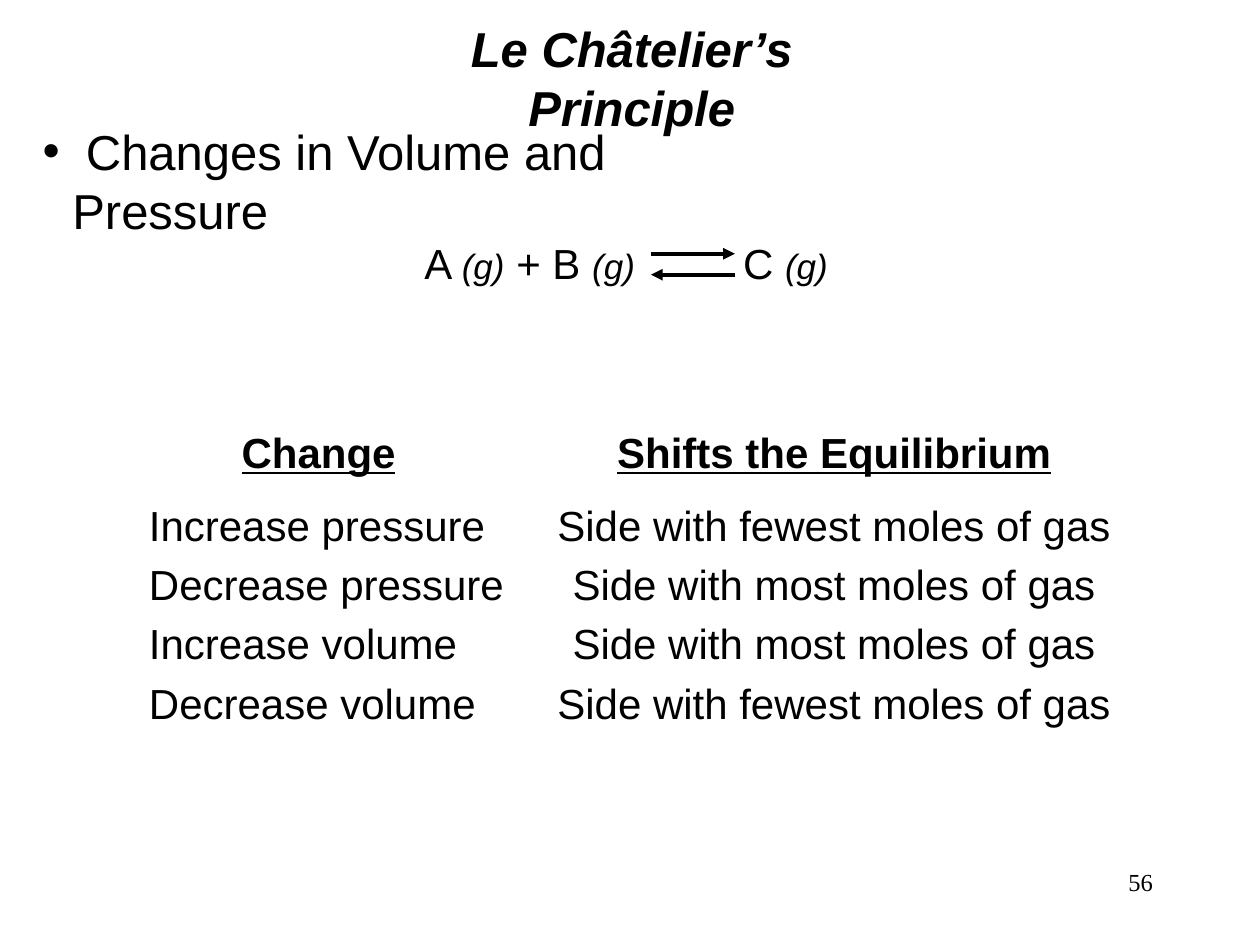
import pptx
import pptx.util
import pptx.dml.color
import pptx.enum.text
import pptx.enum.shapes
import pptx.oxml.ns
import lxml.etree

Pt = pptx.util.Pt
Align = pptx.enum.text.PP_ALIGN
COLORS = {"ink": "000000"}

# Content
TITLE = "Le Châtelier’s Principle"
TOPIC = " Changes in Volume and Pressure"
GAS = ("(g)", 20, True)
FORMULA = [("A ", 24, False), GAS, (" + B ", 24, False), GAS,
           ("\tC ", 24, False), GAS]
HEADS = [("Change", 102), ("Shifts the Equilibrium", 262)]
FEW = ("Side with fewest moles of gas", 330)
MOST = ("Side with most moles of gas", 313)
ROWS = [
    (("Increase pressure", 213), FEW),
    (("Decrease pressure", 217), MOST),
    (("Increase volume", 190), MOST),
    (("Decrease volume", 201), FEW),
]
NUMBER = "56"

# Layout
LEFT, MID = 78, (182, 476.6)
HEAD_TOP, ROW_TOP, STEP = 240, 282, 33.8

deck = pptx.Presentation()
deck.slide_width, deck.slide_height = Pt(720), Pt(540)
slide = deck.slides.add_slide(deck.slide_layouts[5])


def ink():
    return pptx.dml.color.RGBColor.from_string(COLORS["ink"])


def add(node, tag, **attrs):
    part = lxml.etree.SubElement(node, pptx.oxml.ns.qn(tag))
    for key, value in attrs.items():
        part.set(key, str(value))
    return part


def write(text, left, top, width, height=36, shape=None, size=24, font="Arial",
          bold=False, italic=False, under=False, align=Align.LEFT,
          wrap=False, bullet=None, tab=None):
    """Put a string, or a list of (text, size, italic) runs, in a box."""
    if shape is None:
        shape = slide.shapes.add_textbox(0, 0, 0, 0)
    shape.left, shape.top = Pt(left), Pt(top)
    shape.width, shape.height = Pt(width), Pt(height)
    frame = shape.text_frame
    frame.word_wrap = wrap
    frame.auto_size = pptx.enum.text.MSO_AUTO_SIZE.NONE
    frame.vertical_anchor = pptx.enum.text.MSO_ANCHOR.TOP
    para = frame.paragraphs[0]
    para.alignment = align
    props = para._p.get_or_add_pPr()
    if bullet:
        props.set("marL", str(Pt(bullet)))
        props.set("indent", str(-Pt(bullet)))
        add(props, "a:buFont", typeface="Arial")
        add(props, "a:buChar", char="•")
    if tab:
        add(add(props, "a:tabLst"), "a:tab", pos=Pt(tab), algn="l")
    runs = [(text, size, italic)] if isinstance(text, str) else text
    for words, points, slant in runs:
        run = para.add_run()
        run.text = words
        run.font.name, run.font.size = font, Pt(points)
        run.font.bold, run.font.italic = bold, slant
        run.font.underline = under
        run.font.color.rgb = ink()


def arrow(start, end, level):
    line = slide.shapes.add_connector(
        pptx.enum.shapes.MSO_CONNECTOR.STRAIGHT,
        Pt(start), Pt(level), Pt(end), Pt(level))
    line.line.width = Pt(2.25)
    line.line.color.rgb = ink()
    props = line._element.spPr
    add(props.find(pptx.oxml.ns.qn("a:ln")), "a:tailEnd", type="triangle")
    add(props, "a:effectLst")


# Title, topic and slide number
write(TITLE, 211, 7.2, 300, 41, shape=slide.shapes.title, size=28, bold=True,
      italic=True, align=Align.CENTER, wrap=True)
write(TOPIC, 17.3, 66, 440, 41, size=28, wrap=True, bullet=17)
write(NUMBER, 516, 492, 150, size=14, font="Times New Roman",
      align=Align.RIGHT, wrap=True)

# Equilibrium formula with its pair of arrows
write(FORMULA, 235.5, 132, 260, wrap=True, tab=182)
arrow(372, 420, 145)
arrow(420, 372, 157)

# Column heads
for (head, width), mid in zip(HEADS, MID):
    write(head, mid - width / 2, HEAD_TOP, width, bold=True, under=True)

# Changes and the shifts they cause
for index, ((change, wide), (shift, width)) in enumerate(ROWS):
    top = ROW_TOP + index * STEP
    write(change, LEFT, top, wide)
    write(shift, MID[1] - width / 2, top, width, align=Align.CENTER)

deck.save("out.pptx")
